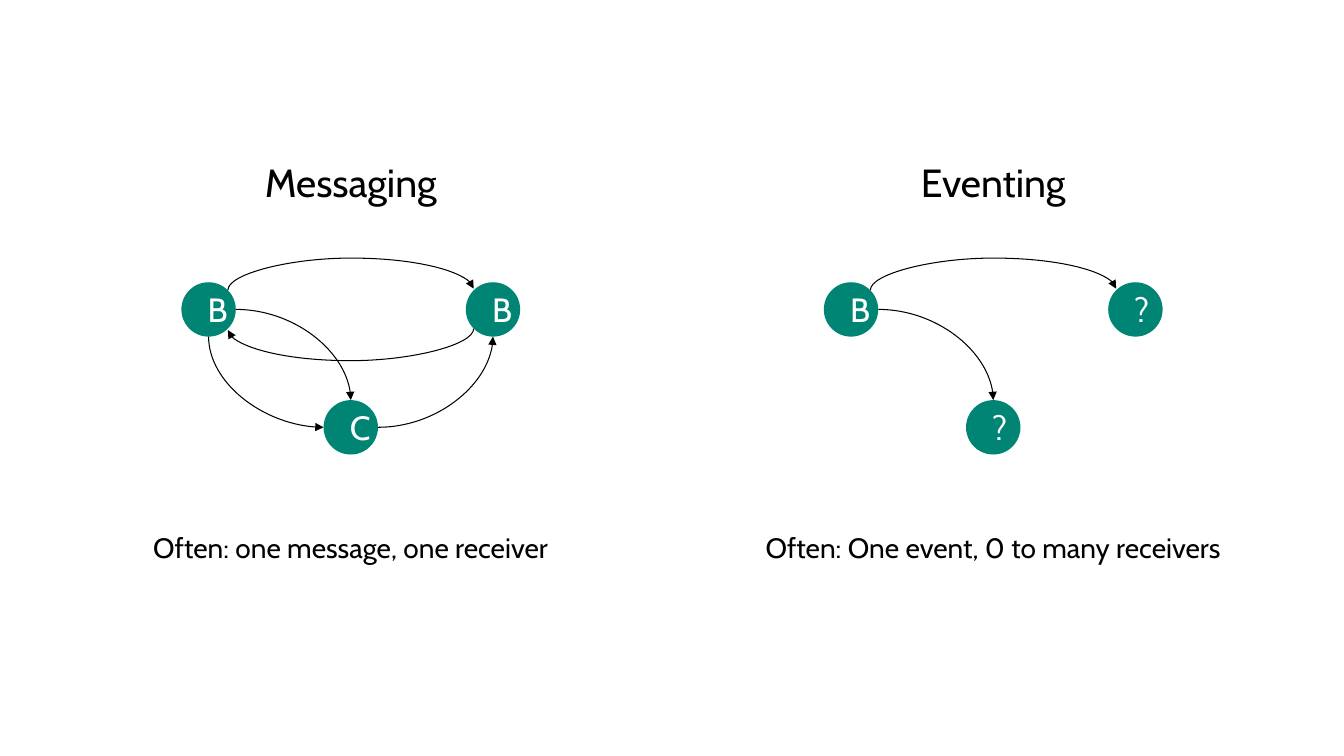
from lxml import etree
from pptx import Presentation
from pptx.dml.color import RGBColor
from pptx.enum.shapes import MSO_CONNECTOR, MSO_SHAPE
from pptx.enum.text import MSO_ANCHOR, PP_ALIGN
from pptx.oxml.ns import qn
from pptx.util import Inches, Pt

CURVE = MSO_CONNECTOR.CURVE
ELLIPSE = MSO_SHAPE.OVAL
CENTER = PP_ALIGN.CENTER
MIDDLE = MSO_ANCHOR.MIDDLE

COLORS = {"text": "000000", "node": "008575", "label": "FFFFFF"}
DIAGONAL = 0.71  # share of the radius at 45 degrees
TOP, RIGHT, BOTTOM, LEFT = (0, -1), (1, 0), (0, 1), (-1, 0)
TOP_RIGHT, TOP_LEFT = (DIAGONAL, -DIAGONAL), (-DIAGONAL, -DIAGONAL)
BOTTOM_RIGHT, BOTTOM_LEFT = (DIAGONAL, DIAGONAL), (-DIAGONAL, DIAGONAL)

# Node centres: percent of width from the panel centre, percent of height
PLACES = {"right": (10.58, 40.93), "bottom": (0, 56.53), "left": (-10.58, 40.93)}
OVER = ("left", TOP_RIGHT, "right", TOP_LEFT, 90, -0.18)
BACK = ("right", BOTTOM_LEFT, "left", BOTTOM_RIGHT, 90, 0.18)
RISE = ("bottom", RIGHT, "right", BOTTOM, 0, 0)
FALL = ("left", RIGHT, "bottom", TOP, 0, 0)
SWING = ("left", BOTTOM, "bottom", LEFT, 270, 0)

PANELS = [
    (26.1, "Messaging", "Often: one message, one receiver",
     {"right": "B", "bottom": "C", "left": "B"}, [OVER, BACK, RISE, FALL, SWING]),
    (73.9, "Eventing", "Often: One event, 0 to many receivers",
     {"right": "?", "bottom": "?", "left": "B"}, [OVER, FALL]),
]


class Page:
    """Places styled elements; lengths are percent of the slide's size."""

    font = "Cabin"
    node_size = 4.05
    bulge = 23.69  # depth of a bow, in multiples of its skew

    def __init__(self, deck):
        self.deck = deck
        self.slide = deck.slides.add_slide(deck.slide_layouts[6])

    def across(self, percent):
        return round(self.deck.slide_width * percent / 100)

    def down(self, percent):
        return round(self.deck.slide_height * percent / 100)

    def color(self, name):
        return RGBColor.from_string(COLORS[name])

    def fill_para(self, para, text, size, color):
        para.text = text
        para.alignment = CENTER
        para.font.name = self.font
        para.font.size = Pt(size)
        para.font.color.rgb = self.color(color)

    def panel_text(self, center, heading, caption):
        width = 42.76
        box = self.slide.shapes.add_textbox(
            self.across(center - width / 2), self.down(20.93),
            self.across(width), self.down(53.87))
        frame = box.text_frame
        frame.word_wrap = True
        frame.margin_left = frame.margin_right = 0
        frame.margin_top = frame.margin_bottom = 0
        self.fill_para(frame.paragraphs[0], heading, 28, "text")
        para = frame.add_paragraph()
        self.fill_para(para, caption, 20, "text")
        para.space_before = Pt(232)

    def node(self, x, y, label):
        size = self.across(self.node_size)
        shape = self.slide.shapes.add_shape(
            ELLIPSE, self.across(x) - size // 2, self.down(y) - size // 2, size, size)
        shape.shadow.inherit = False
        shape.fill.solid()
        shape.fill.fore_color.rgb = self.color("node")
        shape.line.fill.background()
        frame = shape.text_frame
        frame.vertical_anchor = MIDDLE
        frame.margin_left = frame.margin_right = Inches(0.2)
        frame.margin_top = frame.margin_bottom = Inches(0.16)
        self.fill_para(frame.paragraphs[0], label, 24, "label")
        return shape

    def port(self, node, direction):
        """Return the point on the node's rim in the given direction."""
        radius = node.width / 2
        return (node.left + radius * (1 + direction[0]),
                node.top + radius * (1 + direction[1]))

    def arrow(self, source, exit_side, target, entry_side, turn, skew):
        """Draw a curved arrow; a skew makes it bow out to that side."""
        x1, y1 = self.port(source, exit_side)
        x2, y2 = self.port(target, entry_side)
        y2 += self.down(skew)
        middle_x, middle_y = (x1 + x2) / 2, (y1 + y2) / 2
        dx, dy = (x1 - x2) / 2, (y1 - y2) / 2
        # Undo the turn, so that rotating the connector lands on both ports
        dx, dy = {0: (dx, dy), 90: (dy, -dx), 270: (-dy, dx)}[turn]
        connector = self.slide.shapes.add_connector(
            CURVE, round(middle_x + dx), round(middle_y + dy),
            round(middle_x - dx), round(middle_y - dy))
        connector.line.width = Pt(0.75)
        connector.line.color.rgb = self.color("text")
        properties = connector.element.spPr
        if turn:
            properties.find(qn("a:xfrm")).set("rot", str(turn * 60000))
        geometry = properties.find(qn("a:prstGeom"))
        if skew:
            guides = geometry.find(qn("a:avLst"))
            if guides is None:
                guides = etree.SubElement(geometry, qn("a:avLst"))
            etree.SubElement(guides, qn("a:gd"), name="adj1",
                             fmla=f"val {round(self.bulge * 100000)}")
        else:
            geometry.set("prst", "curvedConnector2")
        etree.SubElement(properties.find(qn("a:ln")), qn("a:tailEnd"), type="triangle")
        etree.SubElement(properties, qn("a:effectLst"))


def main():
    deck = Presentation()
    deck.slide_width, deck.slide_height = Inches(13.33), Inches(7.5)
    page = Page(deck)
    for center, heading, caption, labels, arrows in PANELS:
        page.panel_text(center, heading, caption)
        nodes = {}
        for place, label in labels.items():
            offset, y = PLACES[place]
            nodes[place] = page.node(center + offset, y, label)
        for source, exit_side, target, entry_side, turn, skew in arrows:
            page.arrow(nodes[source], exit_side, nodes[target], entry_side, turn, skew)
    deck.save("out.pptx")


if __name__ == "__main__":
    main()
